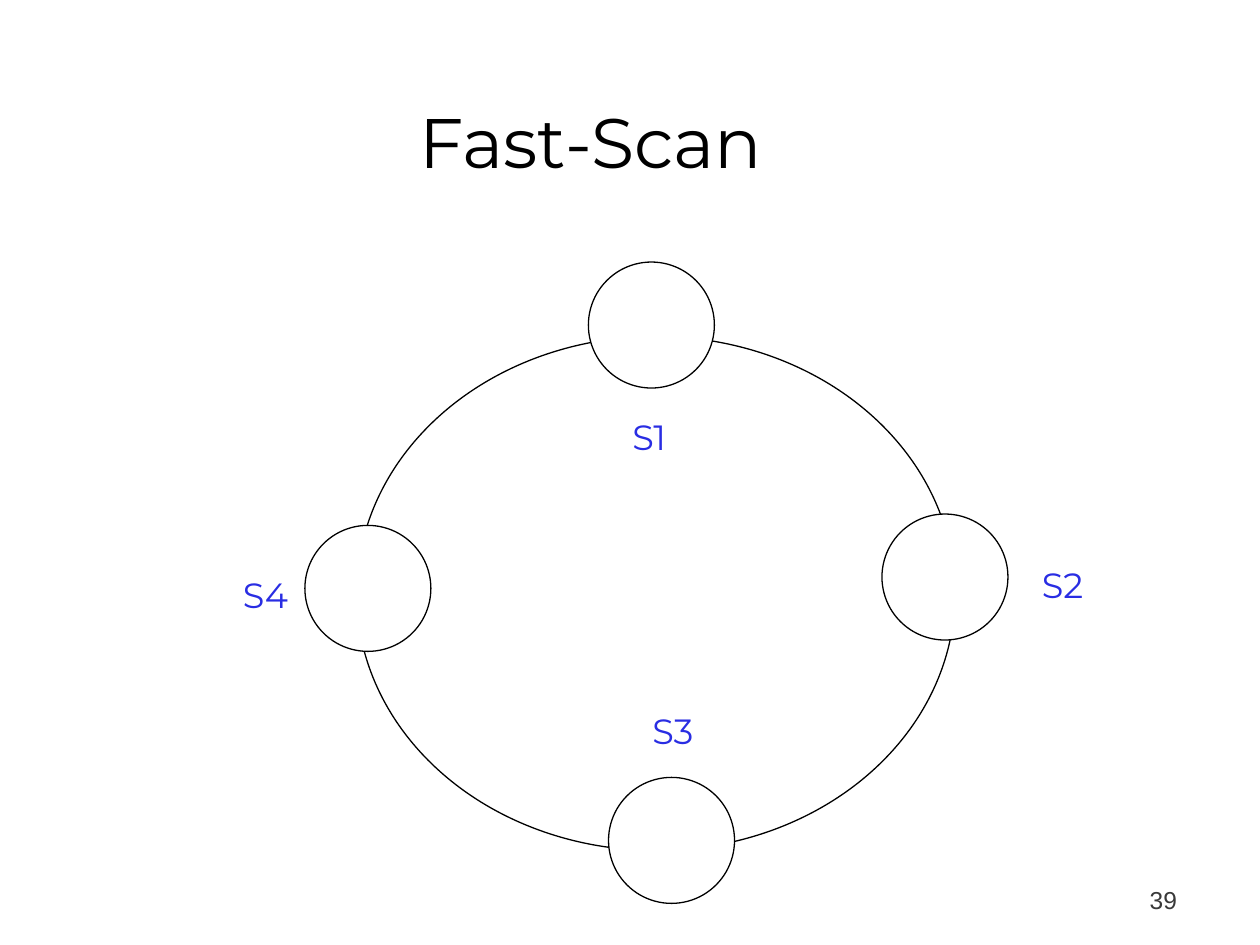
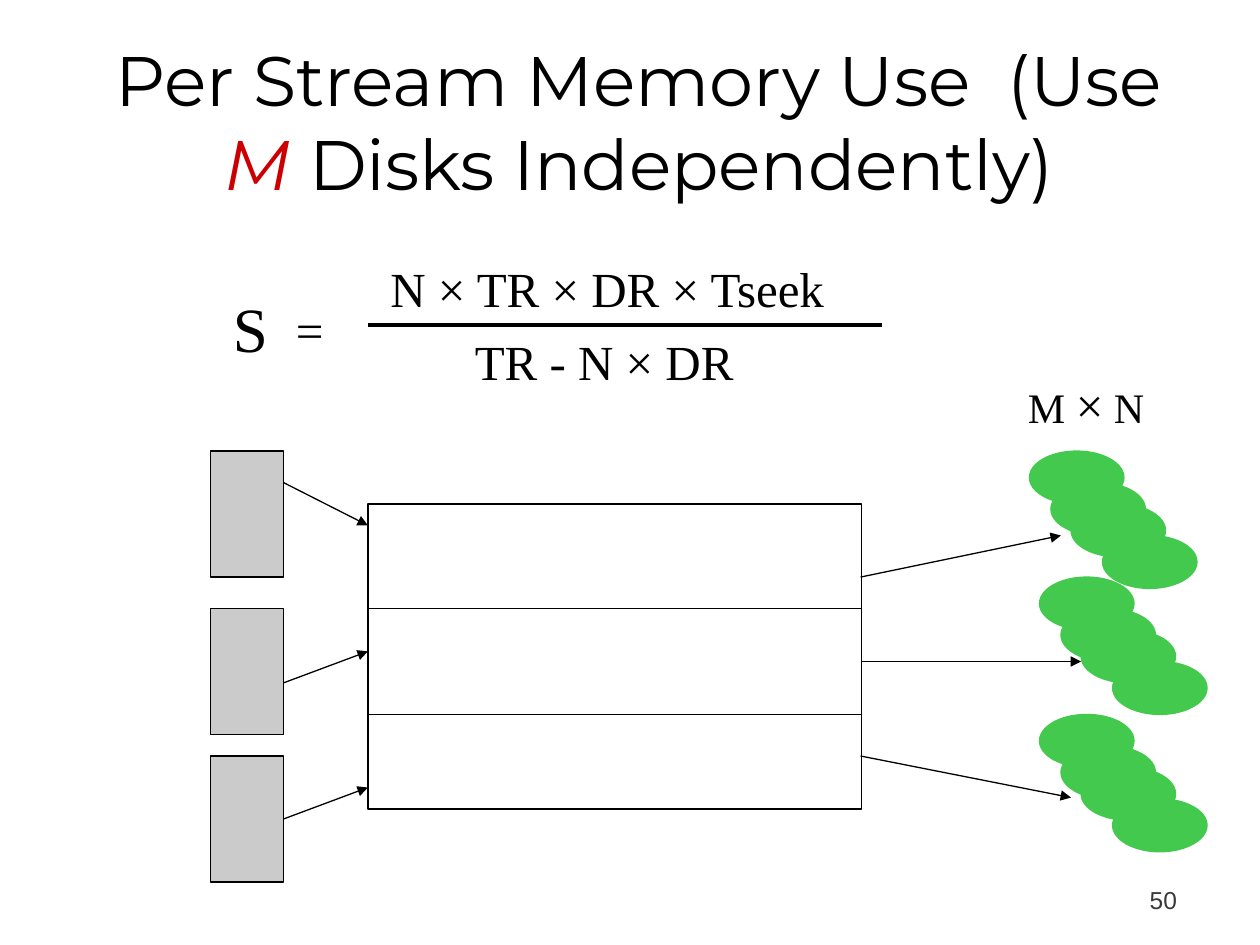
from lxml import etree
from pptx import Presentation
from pptx.dml.color import RGBColor
from pptx.enum.shapes import MSO_CONNECTOR, MSO_SHAPE
from pptx.enum.text import MSO_ANCHOR, MSO_AUTO_SIZE, PP_ALIGN
from pptx.oxml.ns import qn
from pptx.util import Inches, Pt

OVAL = MSO_SHAPE.OVAL
RECT = MSO_SHAPE.RECTANGLE
STRAIGHT = MSO_CONNECTOR.STRAIGHT
BOTTOM = MSO_ANCHOR.BOTTOM
TOP = MSO_ANCHOR.TOP
LEFT, CENTER, RIGHT = PP_ALIGN.LEFT, PP_ALIGN.CENTER, PP_ALIGN.RIGHT
FIXED = MSO_AUTO_SIZE.NONE

BLACK, WHITE = "000000", "FFFFFF"
BLUE, RED, GREEN = "292DE3", "CC0000", "43C94D"
GRAY, DARK = "CBCBCB", "393939"
SANS, SERIF, PLAIN = "Montserrat", "Times New Roman", "Arial"
TITLE_ONLY = 5


def color(code):
    return RGBColor.from_string(code)


def style(run, size, face, tint=BLACK):
    run.font.size = Pt(size)
    run.font.name = face
    run.font.color.rgb = color(tint)


def add_title(slide, box, parts):
    title = slide.shapes.title
    title.left, title.top, title.width, title.height = map(Inches, box)
    frame = title.text_frame
    frame.auto_size = FIXED
    frame.vertical_anchor = BOTTOM
    para = frame.paragraphs[0]
    para.alignment = CENTER
    for text, tint in parts:
        run = para.add_run()
        run.text = text
        style(run, 40, SANS, tint)
        run.font.italic = tint == RED


def add_text(slide, box, parts, face=SERIF, tint=BLACK, align=LEFT, anchor=TOP, wrap=True):
    frame = slide.shapes.add_textbox(*map(Inches, box)).text_frame
    frame.word_wrap = wrap
    frame.auto_size = FIXED
    frame.vertical_anchor = anchor
    para = frame.paragraphs[0]
    para.alignment = align
    for text, size in parts:
        run = para.add_run()
        run.text = text
        style(run, size, face, tint)


def add_page(slide, number):
    add_text(slide, (7.36, 6.81, 2.08, 0.5), [(number, 14)], PLAIN, DARK, RIGHT, BOTTOM)


def add_form(slide, kind, box, fill=WHITE, edge=BLACK):
    form = slide.shapes.add_shape(kind, *map(Inches, box))
    form.shadow.inherit = False
    form.fill.solid()
    form.fill.fore_color.rgb = color(fill)
    form.line.color.rgb = color(edge)
    form.line.width = Pt(0.75)
    return form


def add_line(slide, start, end, width=0.75, arrow=False):
    line = slide.shapes.add_connector(STRAIGHT, *map(Inches, start + end))
    line.line.color.rgb = color(BLACK)
    line.line.width = Pt(width)
    props = line.element.spPr
    if arrow:
        etree.SubElement(props.find(qn("a:ln")), qn("a:tailEnd"), type="triangle")
    etree.SubElement(props, qn("a:effectLst"))
    return line


def add_stack(slide, left, top):
    for dx, dy in ((0, 0), (0.17, 0.25), (0.33, 0.42), (0.58, 0.67)):
        add_form(slide, OVAL, (left + dx, top + dy, 0.75, 0.42), GREEN, GREEN)


def build_scan(slide):
    add_title(slide, (0.44, 0.25, 8.5, 1.25), [("Fast-Scan", BLACK)])
    add_form(slide, OVAL, (2.83, 2.67, 4.75, 4.08))
    stops = (
        ("S1", (4.67, 2.08), (4.92, 3.25)),
        ("S2", (7, 4.08), (8.17, 4.42)),
        ("S3", (4.83, 6.17), (5.08, 5.58)),
        ("S4", (2.42, 4.17), (1.83, 4.5)),
    )
    for name, node, label in stops:
        add_form(slide, OVAL, node + (1, 1))
        add_text(slide, label + (0.4, 0.4), [(name, 20)], SANS, BLUE, wrap=False)
    add_page(slide, "39")


def build_use(slide):
    add_title(slide, (0.5, 0.25, 9.14, 1.42), [
        ("Per Stream Memory Use  (Use ", BLACK),
        ("M", RED),
        (" Disks Independently)", BLACK),
    ])
    add_text(slide, (1.75, 2.25, 0.92, 0.7), [("S", 36)])
    add_text(slide, (2.25, 2.33, 0.58, 0.57), [("=", 28)])
    add_text(slide, (3, 2, 5.5, 0.57), [("N × TR × DR × Tseek", 28)])
    add_text(slide, (3.67, 2.58, 4.67, 0.57), [("TR - N × DR", 28)])
    add_line(slide, (2.92, 2.58), (7, 2.58), 2.25)

    add_form(slide, RECT, (2.92, 4, 3.92, 2.42))
    for y in (4.83, 5.67):
        add_line(slide, (2.92, y), (6.83, y))

    for top, start, end in ((3.58, 3.83, 4.17), (4.83, 5.42, 5.17), (6, 6.5, 6.25)):
        disk = add_form(slide, RECT, (1.67, top, 0.58, 1), GRAY)
        flow = add_line(slide, (2.25, start), (2.92, end), arrow=True)
        if start == top + 0.5:
            flow.begin_connect(disk, 3)

    streams = (
        ((8.17, 3.58), 4.58, (8.42, 4.25)),
        ((8.25, 4.58), 5.25, (8.58, 5.25)),
        ((8.25, 5.67), 6, (8.5, 6.33)),
    )
    for place, start, end in streams:
        add_stack(slide, *place)
        add_line(slide, (6.83, start), end, arrow=True)
    add_text(slide, (7.83, 2.92, 1.58, 0.57), [("M ", 24), ("×", 28), (" N", 24)], align=CENTER)
    add_page(slide, "50")


def main():
    deck = Presentation()
    deck.slide_width, deck.slide_height = Inches(10), Inches(7.5)
    for build in (build_scan, build_use):
        build(deck.slides.add_slide(deck.slide_layouts[TITLE_ONLY]))
    deck.save("out.pptx")


if __name__ == "__main__":
    main()
